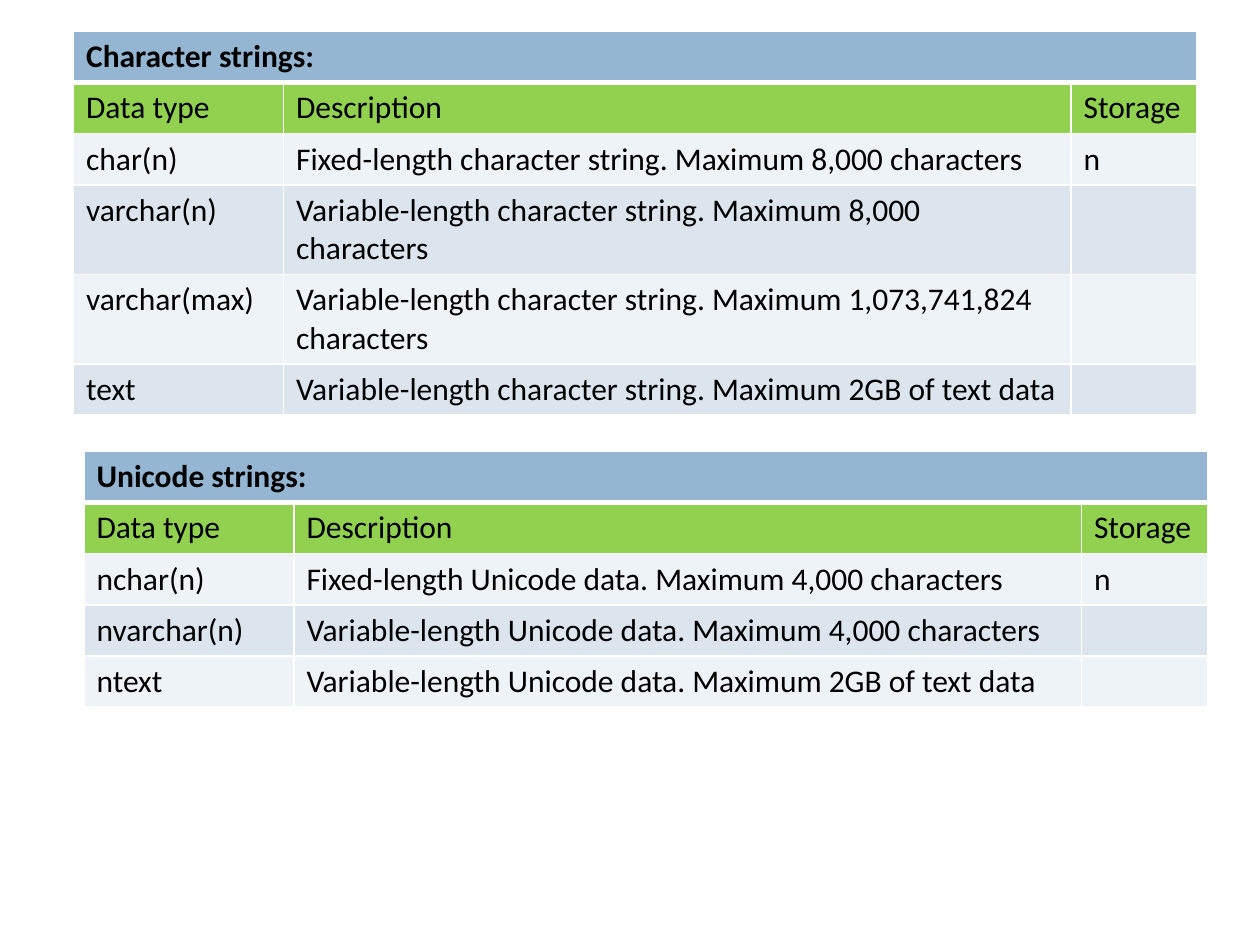
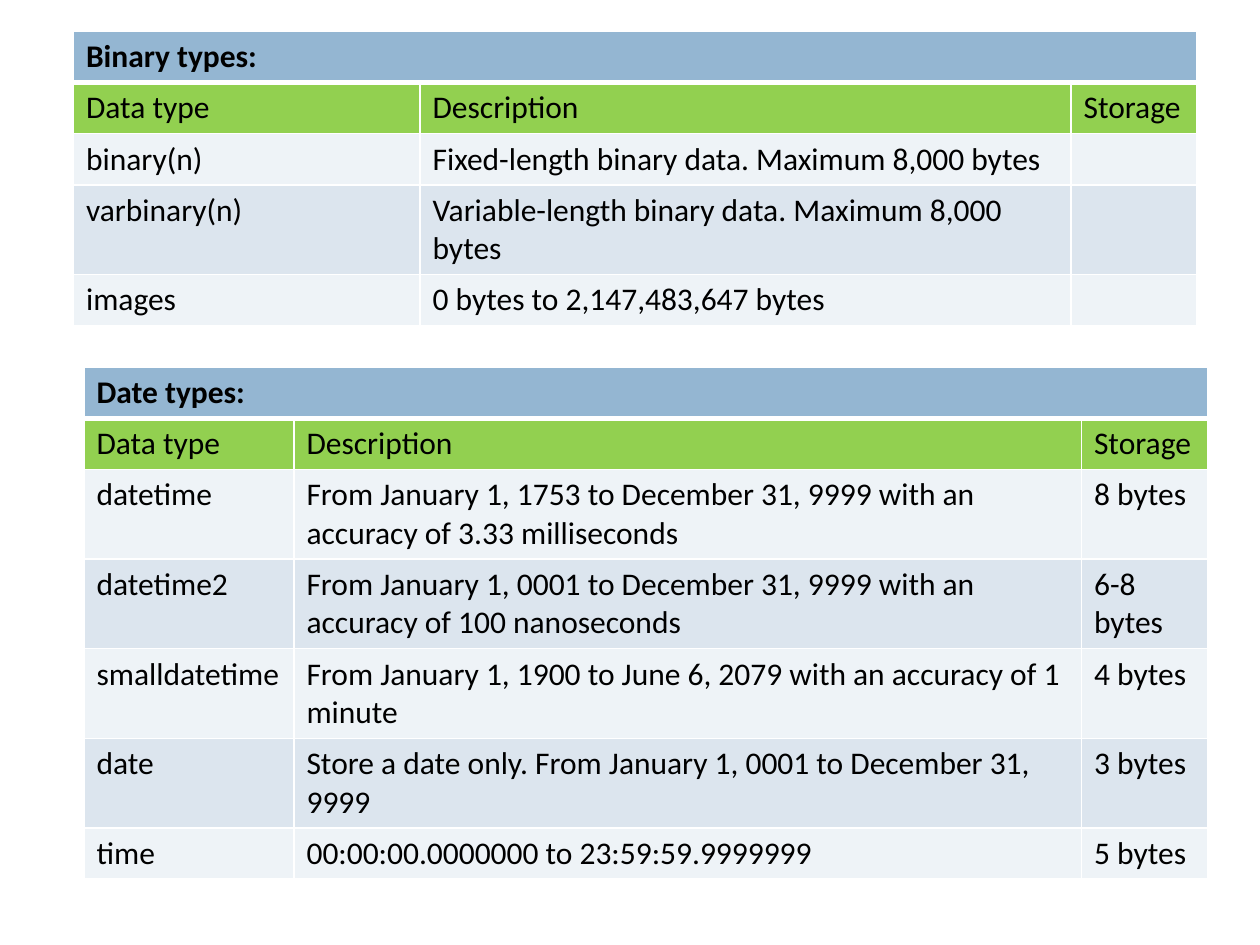
from dataclasses import dataclass

from lxml.etree import SubElement
from pptx import Presentation
from pptx.dml.color import RGBColor
from pptx.oxml.ns import qn
from pptx.util import Pt


@dataclass(frozen=True)
class Theme:
    font: str = "Calibri"
    text_size: float = 18
    text: str = "000000"
    heading: str = "94B6D2"
    labels: str = "92D050"
    bands: tuple = ("EEF3F7", "DCE5EE")
    rule: str = "FFFFFF"
    thin: float = 1
    thick: float = 3
    row_height: float = 29.2
    extra_line: float = 21.3


THEME = Theme()
LABELS = ("Data type", "Description", "Storage")
WIDE_COLUMNS = (120, 450, 72)
BINARY_COLUMNS = (198, 372, 72)
UPPER_LEFT, UPPER_TOP, LOWER_LEFT = 42, 18, 48

CHARACTER_STRINGS = [
    ("char(n)", "Fixed-length character string. Maximum 8,000 characters", "n"),
    ("varchar(n)", "Variable-length character string. Maximum 8,000 characters", ""),
    ("varchar(max)", "Variable-length character string. Maximum 1,073,741,824 characters", ""),
    ("text", "Variable-length character string. Maximum 2GB of text data", ""),
]
UNICODE_STRINGS = [
    ("nchar(n)", "Fixed-length Unicode data. Maximum 4,000 characters", "n"),
    ("nvarchar(n)", "Variable-length Unicode data. Maximum 4,000 characters", ""),
    ("ntext", "Variable-length Unicode data. Maximum 2GB of text data", ""),
]
BINARY_TYPES = [
    ("binary(n)", "Fixed-length binary data. Maximum 8,000 bytes", ""),
    ("varbinary(n)", "Variable-length binary data. Maximum 8,000 bytes", ""),
    ("images", "0 bytes to 2,147,483,647 bytes", ""),
]
DATE_TYPES = [
    ("datetime", "From January 1, 1753 to December 31, 9999 with an accuracy of 3.33 milliseconds", "8 bytes"),
    ("datetime2", "From January 1, 0001 to December 31, 9999 with an accuracy of 100 nanoseconds", "6-8 bytes"),
    ("smalldatetime", "From January 1, 1900 to June 6, 2079 with an accuracy of 1 minute", "4 bytes"),
    ("date", "Store a date only. From January 1, 0001 to December 31, 9999", "3 bytes"),
    ("time", "00:00:00.0000000 to 23:59:59.9999999", "5 bytes"),
]


def add_border(cell, side, width):
    line = SubElement(cell._tc.get_or_add_tcPr(), qn(f"a:ln{side}"), w=str(Pt(width)))
    fill = SubElement(line, qn("a:solidFill"))
    SubElement(fill, qn("a:srgbClr"), val=THEME.rule)


def format_cell(cell, row):
    # Borders come before the fill; the heading has a thick rule below it
    widths = {"L": THEME.thin, "R": THEME.thin,
              "T": THEME.thick if row == 1 else THEME.thin,
              "B": THEME.thick if row == 0 else THEME.thin}
    for side, width in widths.items():
        if not (cell.is_spanned and side in "LR"):
            add_border(cell, side, width)

    # Heading, column labels, then alternating bands
    color = (THEME.heading, THEME.labels)[row] if row < 2 else THEME.bands[row % 2]
    cell.fill.solid()
    cell.fill.fore_color.rgb = RGBColor.from_string(color)

    font = cell.text_frame.paragraphs[0].font
    font.name = THEME.font
    font.size = Pt(THEME.text_size)
    font.bold = row == 0
    font.color.rgb = RGBColor.from_string(THEME.text)


def add_type_table(slide, left, top, heading, types, columns=WIDE_COLUMNS, wrapped=0):
    """Table of data types; wrapped counts the rows that take two lines."""
    rows = [(heading, "", ""), LABELS, *types]
    height = len(rows) * THEME.row_height + wrapped * THEME.extra_line
    frame = slide.shapes.add_table(len(rows), len(columns), Pt(left), Pt(top),
                                   Pt(sum(columns)), Pt(height))
    table = frame.table
    for column, width in zip(table.columns, columns):
        column.width = Pt(width)
    for row in table.rows:
        row.height = Pt(THEME.row_height)
    frame.height = Pt(height)

    table.cell(0, 0).merge(table.cell(0, len(columns) - 1))
    for r, values in enumerate(rows):
        for c, value in enumerate(values):
            cell = table.cell(r, c)
            cell.text = value
            format_cell(cell, r)


def add_string_slide(slide):
    add_type_table(slide, UPPER_LEFT, UPPER_TOP, "Character strings:", CHARACTER_STRINGS, wrapped=2)
    add_type_table(slide, LOWER_LEFT, 258, "Unicode strings:", UNICODE_STRINGS)


def add_binary_and_date_slide(slide):
    add_type_table(slide, UPPER_LEFT, UPPER_TOP, "Binary types:", BINARY_TYPES, BINARY_COLUMNS, wrapped=1)
    add_type_table(slide, LOWER_LEFT, 210, "Date types:", DATE_TYPES, wrapped=4)


def main():
    deck = Presentation()
    deck.slide_width, deck.slide_height = Pt(720), Pt(540)
    blank = deck.slide_layouts[6]
    for build in (add_string_slide, add_binary_and_date_slide):
        build(deck.slides.add_slide(blank))
    deck.save("out.pptx")


if __name__ == "__main__":
    main()
